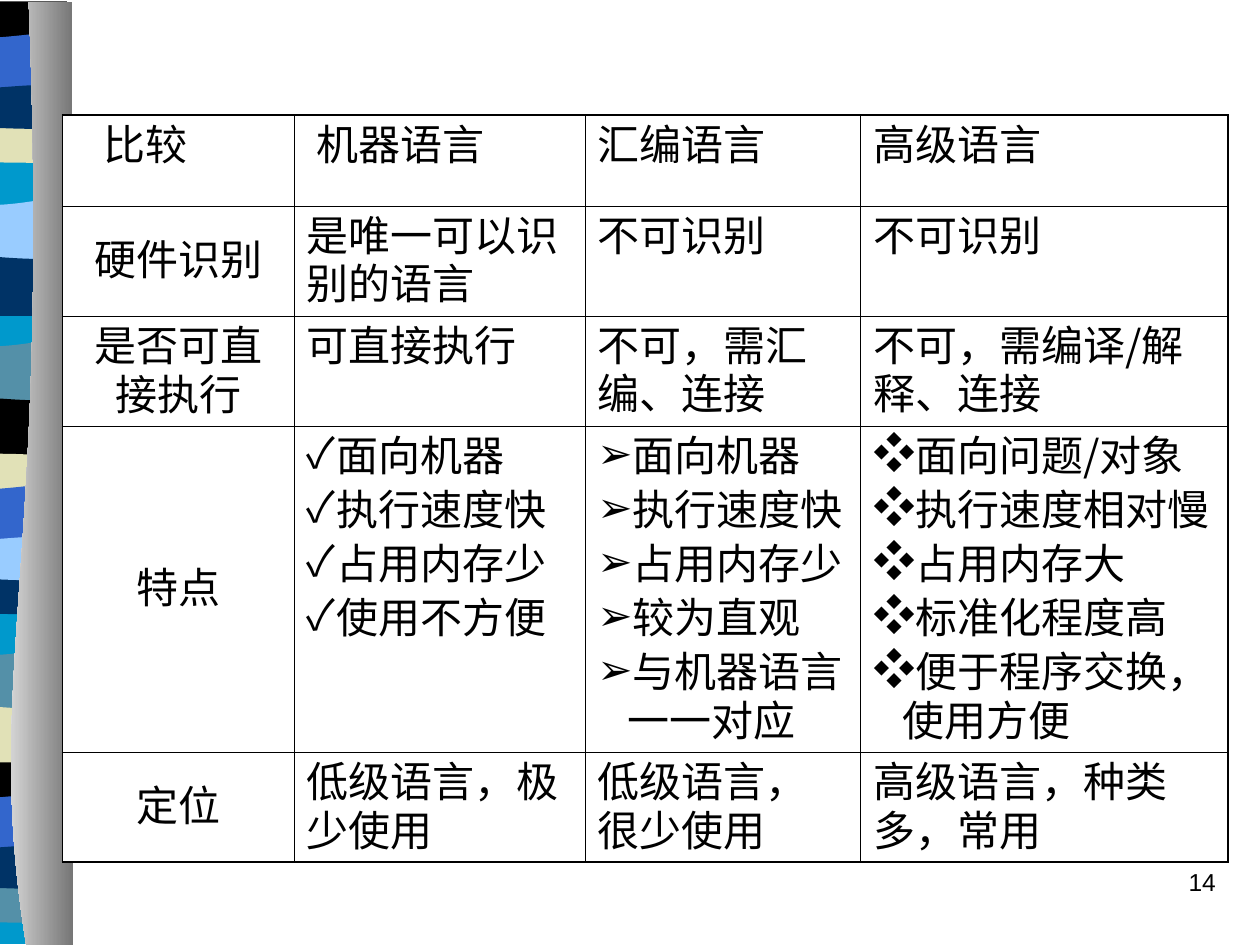
from lxml import etree
from pptx import Presentation
from pptx.dml.color import RGBColor
from pptx.enum.text import MSO_ANCHOR, PP_ALIGN
from pptx.oxml.ns import qn
from pptx.util import Cm, Pt

LEFT, CENTER, RIGHT = PP_ALIGN.LEFT, PP_ALIGN.CENTER, PP_ALIGN.RIGHT
TOP, MIDDLE = MSO_ANCHOR.TOP, MSO_ANCHOR.MIDDLE

BLACK = RGBColor(0x00, 0x00, 0x00)
WHITE = RGBColor(0xFF, 0xFF, 0xFF)
NAVY = RGBColor(0x00, 0x33, 0x66)
BLUE = RGBColor(0x33, 0x66, 0xCC)
SKY = RGBColor(0x99, 0xCC, 0xFF)
CYAN = RGBColor(0x00, 0x99, 0xCC)
TEAL = RGBColor(0x54, 0x90, 0xA8)
SAND = RGBColor(0xE1, 0xE1, 0xB7)
GRAY = RGBColor(0x76, 0x76, 0x76)

THIN, THICK = Pt(0.45), Pt(1.08)
BULLET_INDENT = 0.6

# Ribbon outlines in cm below their top: two numbers are a corner, six a Bezier curve
L, R = -1.45, 1.35
ARCH_FOOT = (-0.38, 0.84, -0.86, 0.97, L, 0.97)
OUTLINES = {
    "base": [(L, 18.95), (L, 0), (R, 0), (R, 18.95)],
    "wave": [(L, 1.39), (L, 0.2), (0.48, 0.43, 0.86, 0, R, 0.2), (R, 1.39)],
    "slab": [(L, 1.37), (L, 0.18), (-0.99, 0, 0.48, 0.33, R, 0.18), (R, 1.37)],
    "bulge": [(L, 0.71), (L, 0.1), (-0.99, 0, 0.86, 0, R, 0.1), (R, 0.71),
              (1.17, 0.84, 0.74, 0.81, 0.28, 0.81), (-0.2, 0.81, -1.09, 0.74, L, 0.71)],
    "arch": [(L, 0.97), (L, 0.15), (-0.99, 0, 0.86, 0, R, 0.15), (R, 0.97), ARCH_FOOT],
    "cap": [(L, 0.97), (L, 0), (R, 0), (R, 0.97), ARCH_FOOT],
    "hump": [(L, 1.19), (L, 0), (-1.02, 0.13, -0.84, 0.13, -0.38, 0.13),
             (0.1, 0.13, 0.91, 0, R, 0), (R, 1.19)],
    "band": [(L, 0.91), (L, 0.15), (-1.27, 0, -0.84, 0.15, -0.38, 0.15),
             (0.1, 0.15, 1.07, 0, R, 0.15), (R, 0.91), (0.94, 1.04, -0.56, 0.91, -1.02, 0.91)],
    "roller": [(0.53, 19.01), (-0.36, 13.52, 1.04, 11.51, 0.58, 0), (1.45, 0), (1.47, 19.01)],
}
OFFSETS = {"wave": 0, "slab": 1.13, "bulge": 4.85, "arch": 2.39, "cap": 2.41,
           "hump": 3.02, "band": 4.01}
# Each group: top in cm, then the ribbons from back to front
RIBBON_GROUPS = [
    (12.94, {"wave": TEAL, "slab": SAND, "bulge": TEAL, "arch": BLACK, "hump": BLUE, "band": NAVY}),
    (6.72, {"wave": TEAL, "slab": BLACK, "bulge": NAVY, "arch": SAND, "hump": BLUE, "band": SKY}),
    (3.87, {"wave": SKY, "slab": NAVY}),
    (-2.38, {"bulge": SAND, "cap": BLACK, "hump": BLUE, "band": NAVY}),
]

COLUMN_WIDTHS = [4.67, 5.86, 5.56, 7.4]
ROW_HEIGHTS = [1.83, 2.22, 2.22, 6.57, 2.22]
HEADER_INDENTS = [0.57, 0.2, 0, 0]
BULLETS = [None, "✓", "➢", "❖"]
FEATURE_ROW = 3
COMPARISON = [
    ["比较", "机器语言", "汇编语言", "高级语言"],
    ["硬件识别", "是唯一可以识别的语言", "不可识别", "不可识别"],
    ["是否可直接执行", "可直接执行", "不可，需汇编、连接", "不可，需编译/解释、连接"],
    ["特点",
     "面向机器\n执行速度快\n占用内存少\n使用不方便",
     "面向机器\n执行速度快\n占用内存少\n较为直观\n与机器语言一一对应",
     "面向问题/对象\n执行速度相对慢\n占用内存大\n标准化程度高\n便于程序交换，使用方便"],
    ["定位", "低级语言，极少使用", "低级语言，很少使用", "高级语言，种类多，常用"],
]


def set_attributes(target, values):
    for name, value in values.items():
        setattr(target, name, value)


class SlideBuilder:
    body_font = {"name": "Noto Sans CJK SC", "size": Pt(24)}
    number_font = {"name": "Arial", "size": Pt(14)}
    body_spacing = {"line_spacing": 0.8, "space_before": Pt(3)}

    def __init__(self, slide):
        self.slide = slide

    def outline(self, parts, top):
        """Build a freeform; the three points of each curve become one Bezier segment."""
        points = [(Cm(part[i]), Cm(top + part[i + 1]))
                  for part in parts for i in range(0, len(part), 2)]
        builder = self.slide.shapes.build_freeform(*points[0])
        builder.add_line_segments(points[1:], close=True)
        shape = builder.convert_to_shape()
        segments = iter(list(shape._element.iter(qn("a:lnTo"))))
        for part in parts[1:]:
            segment = next(segments)
            if len(part) == 6:
                curve = etree.Element(qn("a:cubicBezTo"))
                segment.addprevious(curve)
                for line in (segment, next(segments), next(segments)):
                    curve.append(line[0])
                    line.getparent().remove(line)
        return shape

    def ribbon(self, name, top, color, end_color=None):
        shape = self.outline(OUTLINES[name], top)
        shape.shadow.inherit = False
        shape.line.fill.background()
        if end_color is None:
            shape.fill.solid()
            shape.fill.fore_color.rgb = color
        else:
            shape.fill.gradient()
            shape.fill.gradient_angle = 0
            for stop, stop_color in zip(shape.fill.gradient_stops, (color, end_color)):
                stop.color.rgb = stop_color

    def paragraph(self, paragraph, text, font, layout, indent=0, bullet=None):
        set_attributes(paragraph, layout)
        run = paragraph.add_run()
        run.text = text
        set_attributes(run.font, font)
        run.font.color.rgb = BLACK
        etree.SubElement(run.font._element, qn("a:ea"), typeface=font["name"])
        properties = paragraph._p.get_or_add_pPr()
        properties.set("marL", str(Cm(indent)))
        properties.set("hangingPunct", "0")
        if bullet:
            properties.set("indent", str(-Cm(indent)))
            etree.SubElement(properties, qn("a:buFont"), typeface=font["name"])
            etree.SubElement(properties, qn("a:buChar"), char=bullet)

    def text(self, text, left, top, width, height, alignment):
        frame = self.slide.shapes.add_textbox(Cm(left), Cm(top), Cm(width), Cm(height)).text_frame
        frame.word_wrap = True
        self.paragraph(frame.paragraphs[0], text, self.number_font, {"alignment": alignment})

    def borders(self, cell, widths):
        properties = cell._tc.get_or_add_tcPr()
        for position, (side, width) in enumerate(widths.items()):
            line = etree.Element(qn(f"a:ln{side}"), w=str(width))
            fill = etree.SubElement(line, qn("a:solidFill"))
            etree.SubElement(fill, qn("a:srgbClr"), val=str(BLACK))
            properties.insert(position, line)

    def cell(self, cell, text, centered, indent, bullet):
        cell.fill.solid()
        cell.fill.fore_color.rgb = WHITE
        cell.vertical_anchor = MIDDLE if centered else TOP
        layout = {"alignment": CENTER if centered else LEFT, **self.body_spacing}
        frame = cell.text_frame
        for index, line in enumerate(text.split("\n")):
            paragraph = frame.add_paragraph() if index else frame.paragraphs[0]
            self.paragraph(paragraph, line, self.body_font, layout, indent, bullet)

    def table(self, rows, left, top):
        last_row, last_column = len(rows) - 1, len(COLUMN_WIDTHS) - 1
        table = self.slide.shapes.add_table(
            len(rows), len(COLUMN_WIDTHS), Cm(left), Cm(top),
            Cm(sum(COLUMN_WIDTHS)), Cm(sum(ROW_HEIGHTS))).table
        set_attributes(table, {"first_row": False, "horz_banding": False})
        for column, width in zip(table.columns, COLUMN_WIDTHS):
            column.width = Cm(width)
        for r, (row, height) in enumerate(zip(rows, ROW_HEIGHTS)):
            table.rows[r].height = Cm(height)
            for c, text in enumerate(row):
                bullet = BULLETS[c] if r == FEATURE_ROW else None
                indent = BULLET_INDENT if bullet else HEADER_INDENTS[c] if r == 0 else 0
                cell = table.cell(r, c)
                self.cell(cell, text, r > 0 and c == 0, indent, bullet)
                outer = {"L": c == 0, "R": c == last_column, "T": r == 0, "B": r == last_row}
                self.borders(cell, {side: THICK if edge else THIN for side, edge in outer.items()})


def main():
    presentation = Presentation()
    set_attributes(presentation, {"slide_width": Cm(25.4), "slide_height": Cm(19.05)})
    builder = SlideBuilder(presentation.slides.add_slide(presentation.slide_layouts[6]))

    # Coloured ribbons along the left edge
    builder.ribbon("base", 0.08, CYAN)
    for group_top, ribbons in RIBBON_GROUPS:
        for name, color in ribbons.items():
            builder.ribbon(name, group_top + OFFSETS[name], color)
    builder.ribbon("roller", 0.04, WHITE, GRAY)

    # Page number
    builder.text("14", 19.48, 17.35, 5.28, 1.27, RIGHT)

    # Comparison of the language levels
    builder.table(COMPARISON, 1.26, 2.32)

    presentation.save("out.pptx")


if __name__ == "__main__":
    main()
